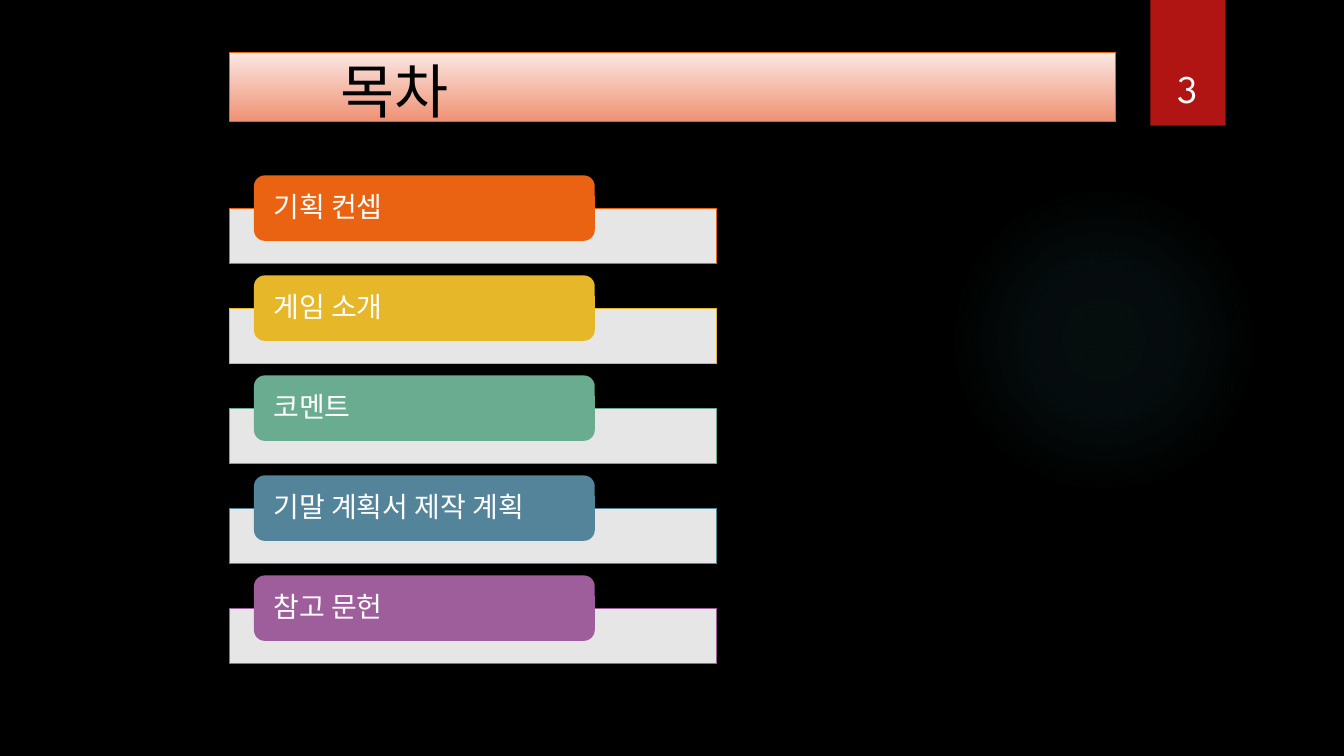
from dataclasses import dataclass

from lxml.etree import SubElement
from pptx import Presentation
from pptx.dml.color import RGBColor
from pptx.enum.shapes import MSO_SHAPE
from pptx.enum.text import MSO_ANCHOR, PP_ALIGN
from pptx.oxml import parse_xml
from pptx.oxml.ns import nsdecls, qn
from pptx.shapes.autoshape import Shape
from pptx.slide import Slide
from pptx.util import Cm, Pt

KOREAN = "Noto Sans CJK KR"
LATIN = "League Spartan"
ROW_PITCH = 2.52


@dataclass(frozen=True)
class Box:
    left: float
    top: float
    width: float
    height: float


@dataclass(frozen=True)
class Topic:
    title: str
    color: str


@dataclass(frozen=True)
class GlowStop:
    position: int
    opacity: int


TOPICS = [
    Topic("기획 컨셉", "EA6312"),
    Topic("게임 소개", "E6B729"),
    Topic("코멘트", "6AAC90"),
    Topic("기말 계획서 제작 계획", "54849A"),
    Topic("참고 문헌", "9E5E9B"),
]
GLOW_STOPS = [GlowStop(0, 7), GlowStop(36, 6), GlowStop(69, 0)]


def rgb(color: str) -> RGBColor:
    return RGBColor.from_string(color)


def add_box(s: Slide, kind: MSO_SHAPE, box: Box, fill: str | None = None,
            line: str | None = None) -> Shape:
    sp = s.shapes.add_shape(kind, Cm(box.left), Cm(box.top), Cm(box.width), Cm(box.height))
    sp.shadow.inherit = False
    if fill:
        sp.fill.solid()
        sp.fill.fore_color.rgb = rgb(fill)
    if line:
        sp.line.color.rgb = rgb(line)
        sp.line.width = Pt(0.75)
    else:
        sp.line.fill.background()
    return sp


def add_text(sp: Shape, text: str, size: float, font: str, color: str,
             left: float = 0, top: float = 0, bottom: float = 0,
             align: PP_ALIGN = PP_ALIGN.LEFT,
             anchor: MSO_ANCHOR = MSO_ANCHOR.MIDDLE, spacing: float = 1.0) -> None:
    tf = sp.text_frame
    tf.word_wrap = True
    tf.vertical_anchor = anchor
    tf.margin_left, tf.margin_right = Cm(left), Cm(0)
    tf.margin_top, tf.margin_bottom = Cm(top), Cm(bottom)
    p = tf.paragraphs[0]
    p.alignment = align
    p.line_spacing = spacing
    r = p.add_run()
    r.text = text
    r.font.size = Pt(size)
    r.font.name = font
    r.font.color.rgb = rgb(color)
    SubElement(r.font._element, qn("a:ea")).set("typeface", font)


def add_glow(s: Slide) -> None:
    sp = add_box(s, MSO_SHAPE.OVAL, Box(23.9, 4.65, 7.82, 7.82))
    stops = "".join(
        f'<a:gs pos="{stop.position * 1000}"><a:srgbClr val="50B9C1">'
        f'<a:alpha val="{stop.opacity * 1000}"/></a:srgbClr></a:gs>'
        for stop in GLOW_STOPS
    )
    gradient = parse_xml(
        f'<a:gradFill {nsdecls("a")} rotWithShape="1"><a:gsLst>{stops}</a:gsLst>'
        '<a:path path="circle"><a:fillToRect l="50000" t="50000" r="50000" b="50000"/>'
        '</a:path></a:gradFill>'
    )
    sp._element.spPr.find(qn("a:prstGeom")).addnext(gradient)


def add_title(s: Slide) -> None:
    sp = add_box(s, MSO_SHAPE.RECTANGLE, Box(5.79, 1.32, 22.33, 1.75), line="EA6312")
    sp.fill.gradient()
    sp.fill.gradient_angle = 270
    for stop, color in zip(sp.fill.gradient_stops, ("FBE8E4", "EF9173")):
        stop.color.rgb = rgb(color)
    add_text(sp, "목차", 42, KOREAN, "000000", left=2.79, top=0.13)


def add_page_ribbon(s: Slide) -> None:
    sp = add_box(s, MSO_SHAPE.RECTANGLE, Box(28.99, 0, 1.9, 3.17), "B01513")
    add_text(sp, "3", 28, LATIN, "FFFFFF", bottom=0.36,
             align=PP_ALIGN.CENTER, anchor=MSO_ANCHOR.BOTTOM)


def add_topic(s: Slide, topic: Topic, row: int) -> None:
    offset = row * ROW_PITCH
    panel = add_box(s, MSO_SHAPE.RECTANGLE, Box(5.79, 5.25 + offset, 12.27, 1.4),
                    "FFFFFF", topic.color)
    white = panel._element.spPr.find(qn("a:solidFill")).find(qn("a:srgbClr"))
    SubElement(white, qn("a:alpha")).set("val", "90000")
    tab = add_box(s, MSO_SHAPE.ROUNDED_RECTANGLE, Box(6.4, 4.42 + offset, 8.59, 1.65),
                  topic.color)
    add_text(tab, topic.title, 20, KOREAN, "FFFFFF", left=0.41, spacing=0.9)


def main() -> None:
    prs = Presentation()
    prs.slide_width, prs.slide_height = Cm(33.87), Cm(19.05)
    s = prs.slides.add_slide(prs.slide_layouts[6])
    s.background.fill.solid()
    s.background.fill.fore_color.rgb = rgb("000000")
    add_glow(s)
    add_page_ribbon(s)
    add_title(s)
    for row, topic in enumerate(TOPICS):
        add_topic(s, topic, row)
    prs.save("out.pptx")


if __name__ == "__main__":
    main()
